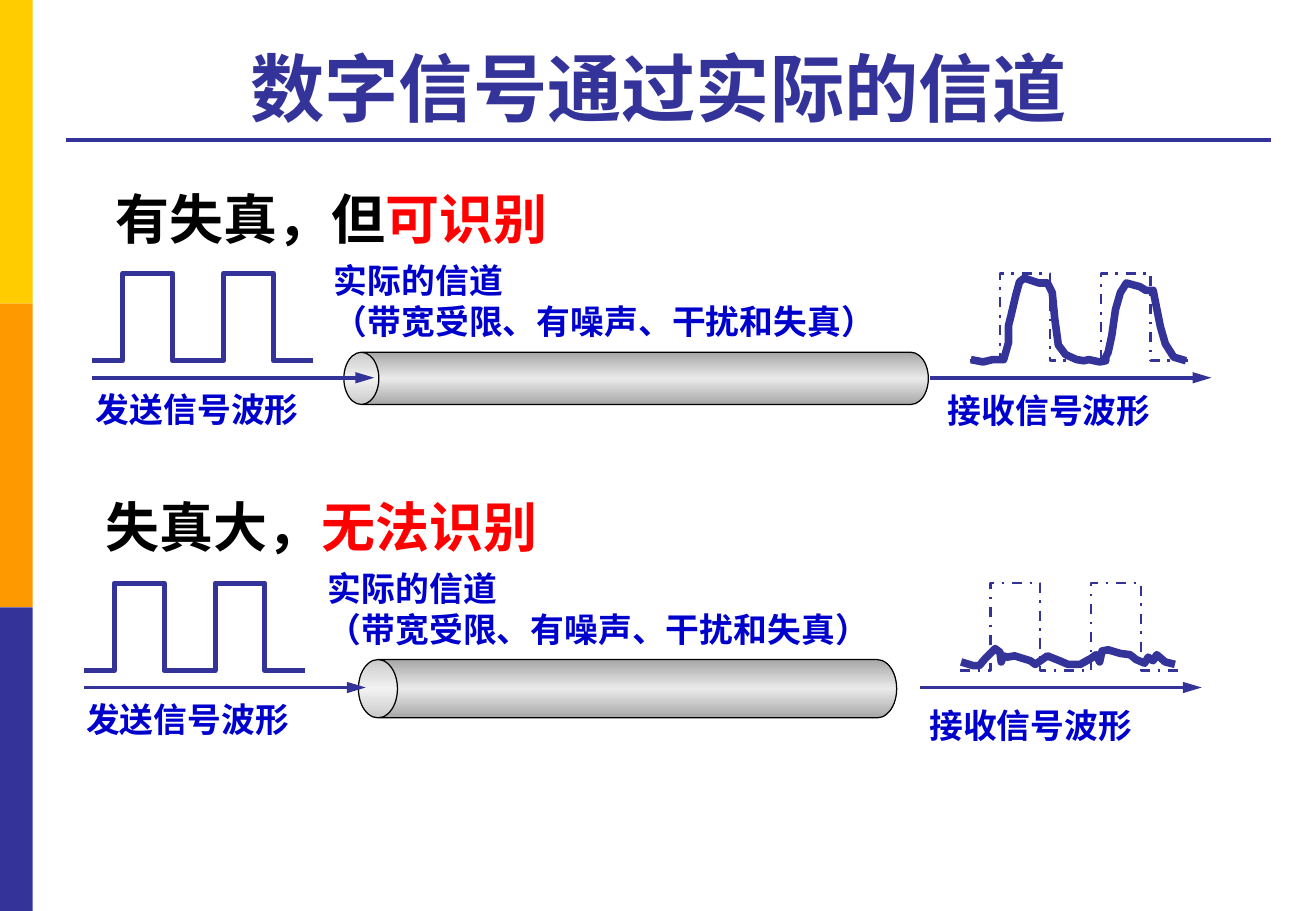
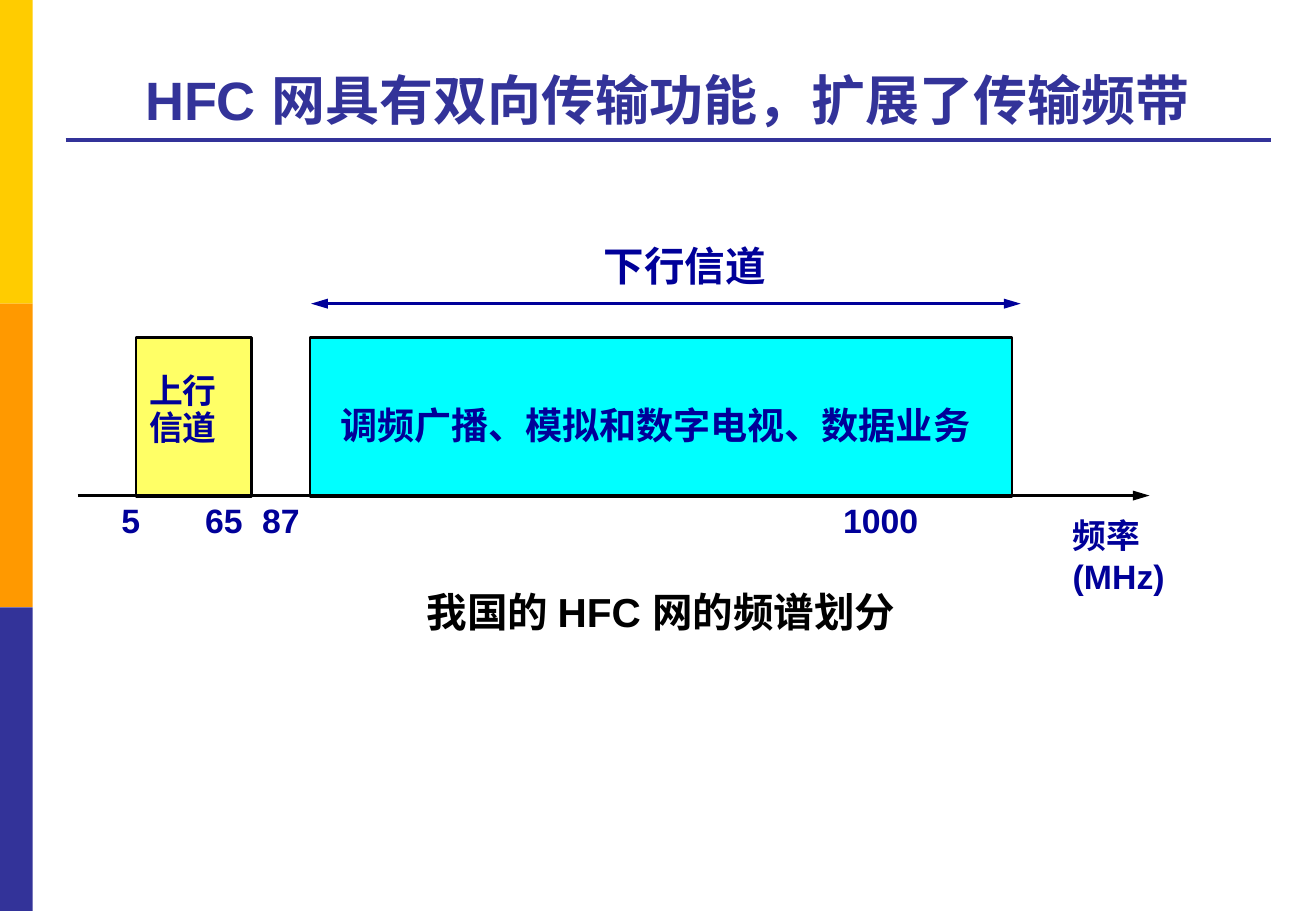
from dataclasses import dataclass

from lxml import etree
from pptx import Presentation
from pptx.dml.color import RGBColor
from pptx.enum.dml import MSO_LINE
from pptx.enum.shapes import MSO_CONNECTOR, MSO_SHAPE
from pptx.enum.text import MSO_ANCHOR, MSO_AUTO_SIZE, PP_ALIGN
from pptx.oxml.ns import qn
from pptx.util import Pt

RECT, CAN = MSO_SHAPE.RECTANGLE, MSO_SHAPE.CAN
LINE = MSO_CONNECTOR.STRAIGHT
DASH = MSO_LINE.DASH_DOT
LEFT, MID = PP_ALIGN.LEFT, PP_ALIGN.CENTER
BASE, FIXED = MSO_ANCHOR.BOTTOM, MSO_AUTO_SIZE.NONE

GOLD = RGBColor(0xFF, 0xCC, 0x00)
ORANGE = RGBColor(0xFF, 0x99, 0x00)
INDIGO = RGBColor(0x33, 0x33, 0x99)
BLUE = RGBColor(0x00, 0x00, 0xCC)
NAVY = RGBColor(0x00, 0x00, 0x99)
BLACK = RGBColor(0x00, 0x00, 0x00)
WHITE = RGBColor(0xFF, 0xFF, 0xFF)
RED = RGBColor(0xFF, 0x00, 0x00)
LEMON = RGBColor(0xFF, 0xFF, 0x66)
CYAN = RGBColor(0x00, 0xFF, 0xFF)

SANS, SERIF, HAN = "Arial", "Times New Roman", "Noto Sans CJK SC"
SCALE = 9144
WIDE, HIGH = 1083, 750

Box = tuple[int, int, int, int]
Spot = tuple[int, int]


@dataclass(frozen=True)
class Row:
    head: str
    accent: str
    space: float
    top: Box
    wave: Spot
    echo: Spot
    can: Box
    pipe: Box
    sent: Box
    got: Box
    noise: tuple[Spot, ...]


ROWS = (
    Row("有失真，但", "可识别", 1.4, (85, 139, 381, 69), (76, 225), (798, 225),
        (283, 290, 481, 43), (265, 208, 469, 77), (69, 314, 188, 44),
        (770, 315, 228, 43),
        ((799, 296), (809, 298), (817, 296), (826, 296), (830, 282), (830, 268),
         (832, 260), (836, 243), (839, 232), (843, 229), (855, 233), (862, 233),
         (866, 241), (868, 262), (871, 284), (877, 292), (886, 296), (892, 297),
         (896, 296), (905, 298), (910, 297), (910, 294), (912, 290), (915, 276),
         (918, 255), (922, 241), (927, 233), (938, 236), (943, 239), (949, 239),
         (951, 249), (955, 269), (959, 283), (966, 294), (976, 297))),
    Row("失真大，", "无法识别", 1.32, (77, 396, 393, 64), (69, 480), (790, 480),
        (295, 543, 443, 48), (260, 462, 469, 77), (61, 569, 188, 44),
        (755, 574, 219, 43),
        ((791, 545), (801, 548), (806, 548), (811, 542), (819, 534), (823, 537),
         (824, 545), (826, 540), (829, 541), (835, 540), (848, 544), (852, 547),
         (862, 540), (872, 544), (879, 547), (889, 547), (898, 542), (902, 539),
         (905, 545), (907, 536), (912, 535), (922, 538), (930, 539), (935, 543),
         (942, 546), (945, 541), (949, 544), (952, 539), (959, 545), (967, 547))),
)


def px(*vals: int) -> list[int]:
    return [val * SCALE for val in vals]


def node(root, tag: str, **attrs: str):
    return etree.SubElement(root, qn(tag), attrs)


def write(frame, *lines: str, size: int = 20, color: RGBColor = NAVY,
          face: str = SANS, space: float = 1.25, align=LEFT,
          accent: str = "", tabs: tuple[int, ...] = ()) -> None:
    frame.word_wrap = True
    frame.auto_size = FIXED
    frame.margin_right = 0 if align == LEFT else frame.margin_left
    for num, line in enumerate(lines):
        para = frame.add_paragraph() if num else frame.paragraphs[0]
        para.alignment = align
        para.line_spacing = Pt(size * space)
        para.space_before = Pt(0)
        if tabs:
            stops = node(para._p.get_or_add_pPr(), "a:tabLst")
            for stop in px(*tabs):
                node(stops, "a:tab", pos=str(stop), algn="l")
        for part, tone in ((line, color), (accent, RED)):
            if part:
                run = para.add_run()
                run.text = part
                run.font.size, run.font.bold = Pt(size), True
                run.font.color.rgb, run.font.name = tone, face
                node(run._r.get_or_add_rPr(), "a:ea", typeface=HAN)


def label(slide, box: Box, *lines: str, **form) -> None:
    item = slide.shapes.add_textbox(*px(*box))
    write(item.text_frame, *lines, **form)


def block(slide, box: Box, fill: RGBColor, edge: RGBColor | None = None) -> None:
    item = slide.shapes.add_shape(RECT, *px(*box))
    item.shadow.inherit = False
    item.fill.solid()
    item.fill.fore_color.rgb = fill
    if edge is None:
        item.line.fill.background()
    else:
        item.line.color.rgb, item.line.width = edge, Pt(1.5)


def stroke(slide, start: Spot, end: Spot, color: RGBColor, width: float,
           heads: tuple[str, ...] = ()) -> None:
    item = slide.shapes.add_connector(LINE, *px(*start, *end))
    item.line.color.rgb, item.line.width = color, Pt(width)
    for head in heads:
        node(item.line._get_or_add_ln(), head, type="triangle", w="med", len="lg")
    node(item._element.spPr, "a:effectLst")


def trace(slide, spots: list[Spot] | tuple[Spot, ...], width: float, dash=None) -> None:
    pen = slide.shapes.build_freeform(*spots[0], scale=SCALE)
    pen.add_line_segments(spots[1:], close=False)
    item = pen.convert_to_shape()
    item.shadow.inherit = False
    item.fill.background()
    item.line.color.rgb, item.line.width = INDIGO, Pt(width)
    if dash is not None:
        item.line.dash_style = dash


def pulse(spot: Spot) -> list[Spot]:
    left, top = spot
    edges = (0, 25, 66, 108, 149, 182)
    spots = [(left, top + 72)]
    for num, edge in enumerate(edges[1:-1]):
        ends = (72, 0) if num % 2 == 0 else (0, 72)
        spots += [(left + edge, top + end) for end in ends]
    return spots + [(left + edges[-1], top + 72)]


def tube(slide, box: Box) -> None:
    left, top, wide, high = px(*box)
    shift = (wide - high) // 2
    item = slide.shapes.add_shape(CAN, left + shift, top - shift, high, wide)
    item.rotation = 270
    item.adjustments[0] = 0.67
    item.shadow.inherit = False
    item.line.color.rgb, item.line.width = BLACK, Pt(0.75)
    item.fill.gradient()
    item.fill.gradient_angle = 0
    stops = item._element.spPr.find(".//" + qn("a:gsLst"))
    stops.clear()
    for part, tone in ((0, "A7A7A7"), (50, "EAEAEA"), (100, "A7A7A7")):
        node(node(stops, "a:gs", pos=str(part * 1000)), "a:srgbClr", val=tone)


def start(deck, title: str, size: int):
    slide = deck.slides.add_slide(deck.slide_layouts[5])
    for num, color in enumerate((GOLD, ORANGE, INDIGO)):
        block(slide, (0, num * 250, 27, 250), color)
    stroke(slide, (54, 115), (1046, 115), INDIGO, 2.25)
    head = slide.shapes.title
    head.left, head.top, head.width, head.height = px(54, 21, 991, 87)
    head.text_frame.vertical_anchor = BASE
    head.text_frame.margin_bottom = 0
    write(head.text_frame, title, size=size, color=INDIGO, align=MID)
    return slide


def signal(deck) -> None:
    slide = start(deck, "数字信号通过实际的信道 ", 44)
    for row in ROWS:
        tube(slide, row.can)
        trace(slide, pulse(row.wave), 3)
        trace(slide, pulse(row.echo), 1.5, DASH)
        for (left, top), shift in ((row.wave, 0), (row.echo, -33)):
            tail, level = left + shift, top + 86
            stroke(slide, (tail, level), (tail + 232, level), INDIGO, 2.25,
                   ("a:tailEnd",))
        trace(slide, row.noise, 4.5)
        label(slide, row.pipe, "实际的信道", "（带宽受限、有噪声、干扰和失真）",
              color=BLUE, face=SERIF, space=1.22)
        label(slide, row.sent, "发送信号波形", color=BLUE, face=HAN)
        label(slide, row.got, "接收信号波形", color=BLUE, face=HAN)
        label(slide, row.top, row.head, size=32, color=BLACK,
              accent=row.accent, space=row.space)


def band(deck) -> None:
    slide = start(deck, "HFC 网具有双向传输功能，扩展了传输频带", 32)
    stroke(slide, (256, 250), (840, 250), NAVY, 1.5, ("a:headEnd", "a:tailEnd"))
    label(slide, (487, 192, 156, 50), "下行信道", size=24)
    block(slide, (112, 278, 95, 131), LEMON, BLACK)
    label(slide, (113, 302, 90, 71), "上行", "信道", space=1.1)
    label(slide, (90, 405, 677, 44), "5\t65\t87\t1000", tabs=(69, 116, 594))
    block(slide, (255, 278, 578, 131), CYAN, BLACK)
    label(slide, (270, 325, 548, 47), "调频广播、模拟和数字电视、数据业务", size=22)
    label(slide, (873, 418, 153, 44), "频率", "(MHz)", space=1.22)
    stroke(slide, (64, 408), (946, 408), BLACK, 1.5, ("a:tailEnd",))
    label(slide, (255, 477, 578, 50), "我国的 HFC 网的频谱划分", size=24,
          color=BLACK, align=MID)


def main() -> None:
    deck = Presentation()
    deck.slide_width, deck.slide_height = px(WIDE, HIGH)
    signal(deck)
    band(deck)
    deck.save("out.pptx")


if __name__ == "__main__":
    main()
